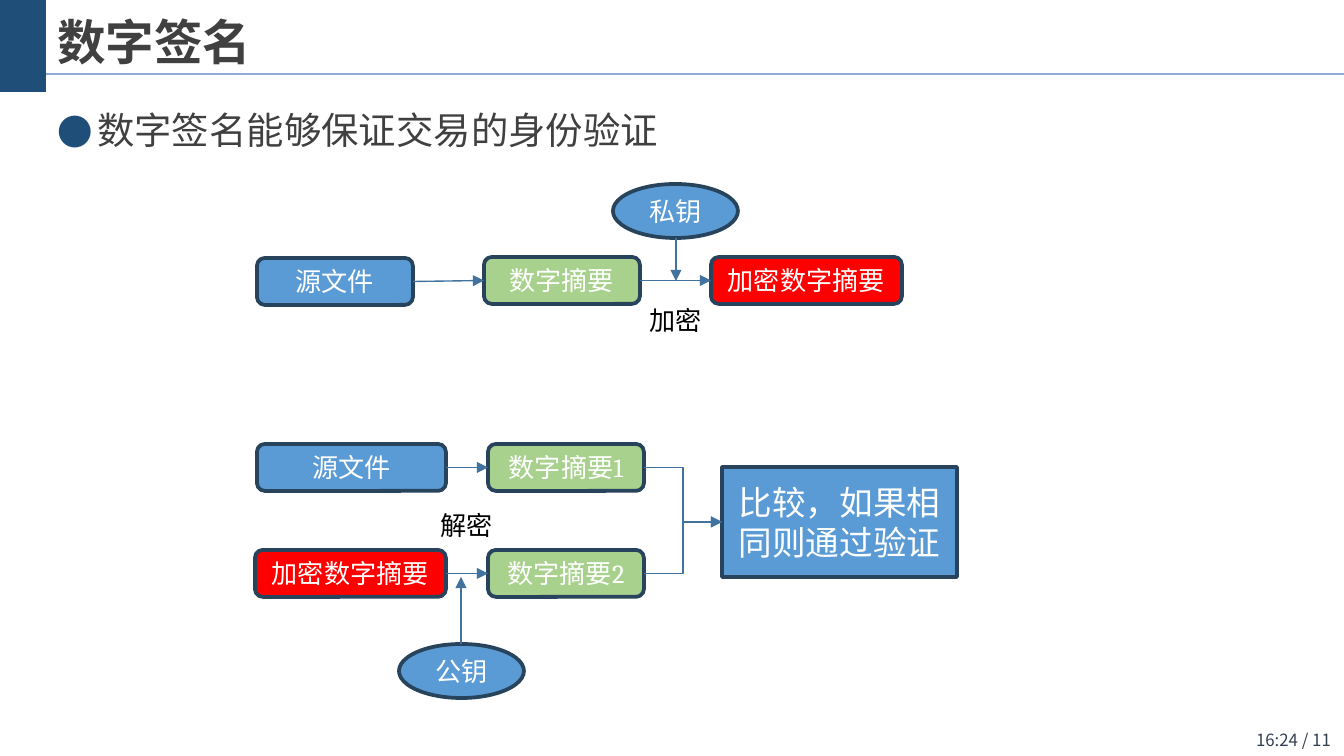
from lxml.etree import SubElement
from pptx import Presentation
from pptx.dml.color import RGBColor
from pptx.enum.shapes import MSO_CONNECTOR as Link, MSO_SHAPE as Kind
from pptx.enum.text import MSO_ANCHOR as Anchor, PP_ALIGN as Align
from pptx.oxml.ns import qn
from pptx.util import Pt

UNIT = 914400 / 134.4
HAN = "Noto Sans CJK SC"
BLUE, GREEN, RED, NAVY = "5B9BD5", "A9D18E", "FF0000", "1F4E79"
EDGE, WIRE, RULE = "28445D", "42739F", "8FAADC"
WHITE, BLACK, GREY, SLATE = "FFFFFF", "000000", "404040", "333F50"
LEFT, RIGHT = 1, 3


def px(*nums):
    return [round(n * UNIT) for n in nums]


def tint(code):
    return RGBColor.from_string(code)


def assign(obj, vals):
    for key, val in vals.items():
        setattr(obj, key, val)


class Deck:
    """Draws styled elements on the current slide."""

    def __init__(self, wide, high):
        self.prs = Presentation()
        self.prs.slide_width, self.prs.slide_height = px(wide, high)
        self.slide = self.prs.slides.add_slide(self.prs.slide_layouts[6])
        self.shapes = self.slide.shapes

    def label(self, shape, text, size, font, color, bold=False,
              align=Align.LEFT, anchor=Anchor.TOP):
        frame = shape.text_frame
        assign(frame, {"word_wrap": True, "vertical_anchor": anchor})
        para = frame.paragraphs[0]
        para.alignment = align
        run = para.add_run()
        run.text = text
        assign(run.font, {"size": Pt(size), "name": font, "bold": bold})
        run.font.color.rgb = tint(color)
        SubElement(run.font._element, qn("a:ea"), typeface=HAN)
        return para

    def text(self, area, *args, **style):
        return self.label(self.shapes.add_textbox(*px(*area)), *args, **style)

    def bullet(self, para, color, indent):
        para.line_spacing = 1.2
        props = para._p.get_or_add_pPr()
        step = px(indent)[0]
        props.set("marL", str(step))
        props.set("indent", str(-step))
        hue = SubElement(props, qn("a:buClr"))
        SubElement(hue, qn("a:srgbClr"), val=color)
        SubElement(props, qn("a:buSzPct"), val="95000")
        SubElement(props, qn("a:buFont"), typeface=HAN)
        SubElement(props, qn("a:buChar"), char="●")

    def shape(self, kind, area, fill, edge=None):
        item = self.shapes.add_shape(kind, *px(*area))
        item.shadow.inherit = False
        item.fill.solid()
        item.fill.fore_color.rgb = tint(fill)
        if edge:
            item.line.color.rgb = tint(edge)
            item.line.width = Pt(2)
        else:
            item.line.fill.background()
        return item

    def node(self, kind, area, fill, text, size=14):
        item = self.shape(kind, area, fill, EDGE)
        self.label(item, text, size, "Cambria", WHITE,
                   align=Align.CENTER, anchor=Anchor.MIDDLE)
        return item

    def line(self, ends, color, kind=Link.STRAIGHT):
        item = self.shapes.add_connector(kind, *px(*ends))
        item.line.color.rgb = tint(color)
        item.line.width = Pt(0.75)
        SubElement(item._element.spPr, qn("a:effectLst"))
        return item

    def arrow(self, ends, kind=Link.STRAIGHT):
        item = self.line(ends, WIRE, kind)
        SubElement(item.line._get_or_add_ln(), qn("a:tailEnd"), type="triangle")
        return item

    def join(self, start, goal, kind=Link.STRAIGHT):
        item = self.arrow((0, 0, 0, 0), kind)
        item.begin_connect(start, RIGHT)
        item.end_connect(goal, LEFT)


def main():
    deck = Deck(1344, 756)
    deck.line((0, 74, 1344, 74), RULE)
    deck.shape(Kind.RECTANGLE, (0, 0, 46, 92), NAVY)
    deck.text((1219, 723, 125, 33), "16:24 / 11", 9, HAN, SLATE, align=Align.RIGHT)
    deck.text((44, 9, 749, 68), "数字签名", 26, HAN, GREY,
              bold=True, anchor=Anchor.BOTTOM)
    body = deck.text((44, 92, 1253, 606), "数字签名能够保证交易的身份验证", 20, HAN, GREY)
    deck.bullet(body, NAVY, 40)

    boxes = {
        "file": (257, 258, 156, BLUE, "源文件"),
        "hash": (484, 257, 156, GREEN, "数字摘要"),
        "seal": (711, 257, 191, RED, "加密数字摘要"),
        "file2": (257, 444, 189, BLUE, "源文件"),
        "seal2": (255, 550, 191, RED, "加密数字摘要"),
        "hash1": (488, 444, 156, GREEN, "数字摘要1"),
        "hash2": (488, 550, 156, GREEN, "数字摘要2"),
    }
    nodes = {
        name: deck.node(Kind.ROUNDED_RECTANGLE, (x, y, w, 47), fill, text)
        for name, (x, y, w, fill, text) in boxes.items()
    }
    check = deck.node(Kind.RECTANGLE, (722, 467, 235, 110), BLUE,
                      "比较，如果相同则通过验证", 18)

    pairs = [("file", "hash"), ("hash", "seal"), ("file2", "hash1"), ("seal2", "hash2")]
    for start, goal in pairs:
        deck.join(nodes[start], nodes[goal])
    for start in ("hash1", "hash2"):
        deck.join(nodes[start], check, Link.ELBOW)

    for x, y, text in [(613, 184, "私钥"), (399, 644, "公钥")]:
        deck.node(Kind.OVAL, (x, y, 125, 54), BLUE, text)
    for ends in [(676, 238, 676, 281), (461, 644, 461, 577)]:
        deck.arrow(ends)
    for x, y, text in [(636, 298, "加密"), (427, 503, "解密")]:
        deck.text((x, y, 86, 46), text, 14, "Arial", BLACK)

    deck.prs.save("out.pptx")


if __name__ == "__main__":
    main()
